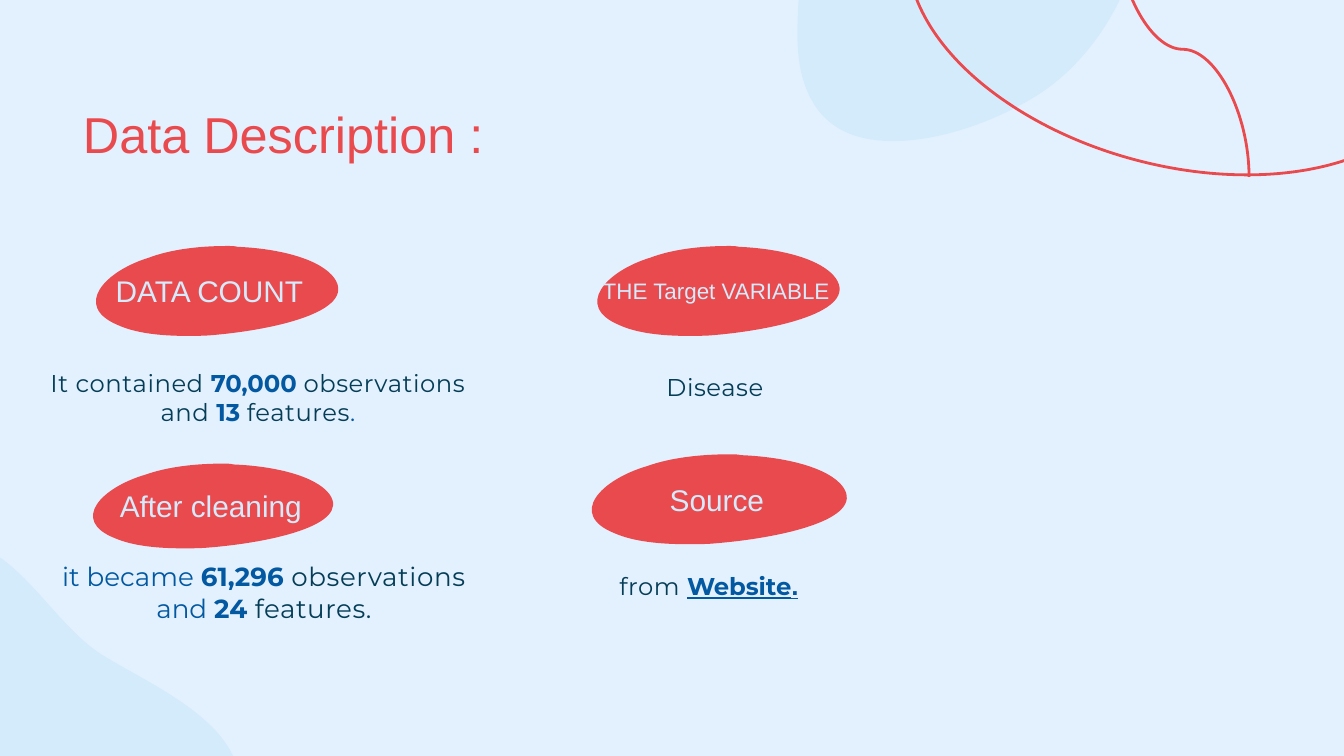
from lxml import etree
from pptx import Presentation
from pptx.dml.color import RGBColor
from pptx.enum.shapes import MSO_CONNECTOR, MSO_SHAPE
from pptx.enum.text import MSO_ANCHOR, MSO_AUTO_SIZE, PP_ALIGN
from pptx.oxml.ns import qn
from pptx.util import Pt

CURVE, ARC = MSO_CONNECTOR.CURVE, MSO_SHAPE.ARC
TOP, MIDDLE, BOTTOM = MSO_ANCHOR.TOP, MSO_ANCHOR.MIDDLE, MSO_ANCHOR.BOTTOM
LEFT, CENTER = PP_ALIGN.LEFT, PP_ALIGN.CENTER
GROW = MSO_AUTO_SIZE.SHAPE_TO_FIT_TEXT

PAPER, SKY, RED, NAVY, BLUE = "E3F1FE", "D4EBFC", "E94A4E", "053D57", "0258A1"
HEAD, BODY = "Arial", "Montserrat"

PILL = [(54.2, 0),
        (44.3, 0), (34.4, 4), (26.9, 13), (11.3, 28), (0, 67), (16, 88),
        (22.2, 97), (31, 100), (40, 100), (42.5, 100), (45.3, 100), (47.6, 99.5),
        (70.3, 94), (100, 73), (92, 36), (87.3, 15), (73, 3), (58, 1),
        (57, 0), (55.7, 0), (54.2, 0)]
BLOB = [(24.7, 0),
        (21, 0), (17.4, 0.6), (14.4, 1.5), (7, 3.4), (1.7, 8.4), (0.7, 18),
        (0, 28.2), (4.3, 39), (7, 48.9), (11, 62.8), (2.7, 80.5), (12.7, 92.9),
        (17, 98.1), (23.7, 100), (31.4, 100), (46.5, 100), (64.5, 92.3), (72.6, 85.8),
        (90, 72.1), (100, 46.7), (87.3, 27.9), (80.6, 18), (69.6, 11.1), (57.9, 6.8),
        (48.5, 3.7), (35.8, 0), (24.7, 0)]


def rgb(color):
    """Turn a hex string into a colour."""
    return RGBColor.from_string(color)


def add_outline(s, box, outline, color):
    """Draw a closed Bezier outline given in percent of its box."""
    x, y, w, h = box
    pts = [(Pt(x + w * px / 100), Pt(y + h * py / 100)) for px, py in outline]
    builder = s.shapes.build_freeform(*pts[0], scale=1.0)
    builder.add_line_segments(pts[1:], close=True)
    sp = builder.convert_to_shape()
    path = sp._element.find(".//" + qn("a:path"))
    close = path.find(qn("a:close"))
    lines = path.findall(qn("a:lnTo"))[:len(outline) - 1]
    for i in range(0, len(lines), 3):
        curve = etree.SubElement(path, qn("a:cubicBezTo"))
        for line in lines[i:i + 3]:
            curve.append(line[0])
            path.remove(line)
        close.addprevious(curve)
    sp.shadow.inherit = False
    sp.fill.solid()
    sp.fill.fore_color.rgb = rgb(color)
    sp.line.fill.background()
    return sp


def write(sp, runs, size, font, align=CENTER, anchor=TOP, margin=7.2):
    """Write one paragraph of (text, colour, bold, spacing) runs into a shape."""
    tf = sp.text_frame
    tf.word_wrap = True
    tf.vertical_anchor = anchor
    tf.margin_left = tf.margin_right = Pt(7.2)
    tf.margin_top = tf.margin_bottom = Pt(margin)
    p = tf.paragraphs[0]
    p.alignment = align
    p.font.size, p.font.name = Pt(size), font
    for text, color, bold, spacing in runs:
        r = p.add_run()
        r.text = text
        r.font.color.rgb = rgb(color)
        r.font.bold = bold
        if spacing:
            r.font._element.set("spc", str(spacing))
    return p


def plain(text):
    """Make a spaced dark run."""
    return text, NAVY, False, 30


def blue(text, bold=True):
    """Make a blue run."""
    return text, BLUE, bold, 0


def add_text(s, box, *args, **kwargs):
    """Add a text box and write into it."""
    sp = s.shapes.add_textbox(*map(Pt, box))
    return sp, write(sp, *args, **kwargs)


def add_label(s, box, text, size=16):
    """Add a red pill with its label."""
    write(add_outline(s, box, PILL, RED), [(text, SKY, False, 0)], size, HEAD, anchor=MIDDLE)


def add_backdrop(s, w, h):
    """Draw the corner blobs and red curves of a slide of the given size."""
    add_outline(s, (w - 309, -157, 215.3, 232.6), BLOB, SKY)
    add_outline(s, (-118, h - 105.5, 215.3, 232.6), BLOB, SKY).rotation = 135
    arc = s.shapes.add_shape(ARC, Pt(w - 236.9), Pt(-88.6), Pt(295.2), Pt(177.1))
    arc.adjustments[0], arc.adjustments[1] = 68.74, 0
    arc.rotation = 195
    arc.shadow.inherit = False
    arc.fill.background()
    wave = s.shapes.add_connector(CURVE, Pt(w - 18), Pt(-9.2), Pt(w - 154.8), Pt(62))
    wave._element.spPr.xfrm.set("rot", "5400000")
    for sp in (arc, wave):
        sp.line.color.rgb = rgb(RED)
        sp.line.width = Pt(1.5)
    etree.SubElement(wave._element.spPr, qn("a:effectLst"))


def add_counts(s, x, y):
    """Add the row counts before and after cleaning."""
    add_outline(s, (x + 23, y, 152.6, 48.2), PILL, RED)
    add_text(s, (x + 26.6, y + 7.5, 139.7, 33.1), [("DATA COUNT", SKY, False, 0)],
             16, HEAD, anchor=MIDDLE)
    add_text(s, (x, y + 58.3, 244.8, 44.6),
             [plain("It contained "), blue("70,000 "), plain("observations and "),
              blue("13 "), plain("features"), blue(".", False)], 13, BODY)
    add_label(s, (x + 21.6, y + 116.6, 151.2, 45.4), "After cleaning")
    add_text(s, (x, y + 161.3, 251.3, 45.4),
             [blue("it became ", False), blue("61,296 "), plain("observations"),
              blue(" and ", False), blue("24 "), plain("features.")], 14, BODY)


def add_target_and_source(s, x, y):
    """Add the target variable and the data source."""
    add_label(s, (x + 46.8, y, 152.6, 48.2), "THE Target VARIABLE", 12)
    add_text(s, (x, y + 60.5, 244.8, 44.6), [plain("Disease")], 13, BODY)
    add_label(s, (x + 43.2, y + 111.6, 160.6, 48.2), "Source")
    sp, p = add_text(s, (x + 64.1, y + 161.3, 432.7, 29.5),
                     [plain("from "), blue("Website"), blue(".")],
                     13, BODY, align=LEFT, margin=3.6)
    sp.text_frame.auto_size = GROW
    p.line_spacing = 1.5
    for r in p.runs[1:]:
        r.font.underline = True
    p.runs[-1].font.size, p.runs[-1].font.name = Pt(14), HEAD


def build():
    """Build and save the slide."""
    prs = Presentation()
    prs.slide_width, prs.slide_height = Pt(720), Pt(405)
    s = prs.slides.add_slide(prs.slide_layouts[6])
    s.background.fill.solid()
    s.background.fill.fore_color.rgb = rgb(PAPER)
    add_backdrop(s, 720, 405)
    add_text(s, (37.4, 46.8, 607.7, 48.2), [("Data Description :", RED, False, 0)],
             27, HEAD, align=LEFT, anchor=BOTTOM)
    add_counts(s, 15.8, 131.8)
    add_target_and_source(s, 260.6, 131.8)
    prs.save("out.pptx")


build()
